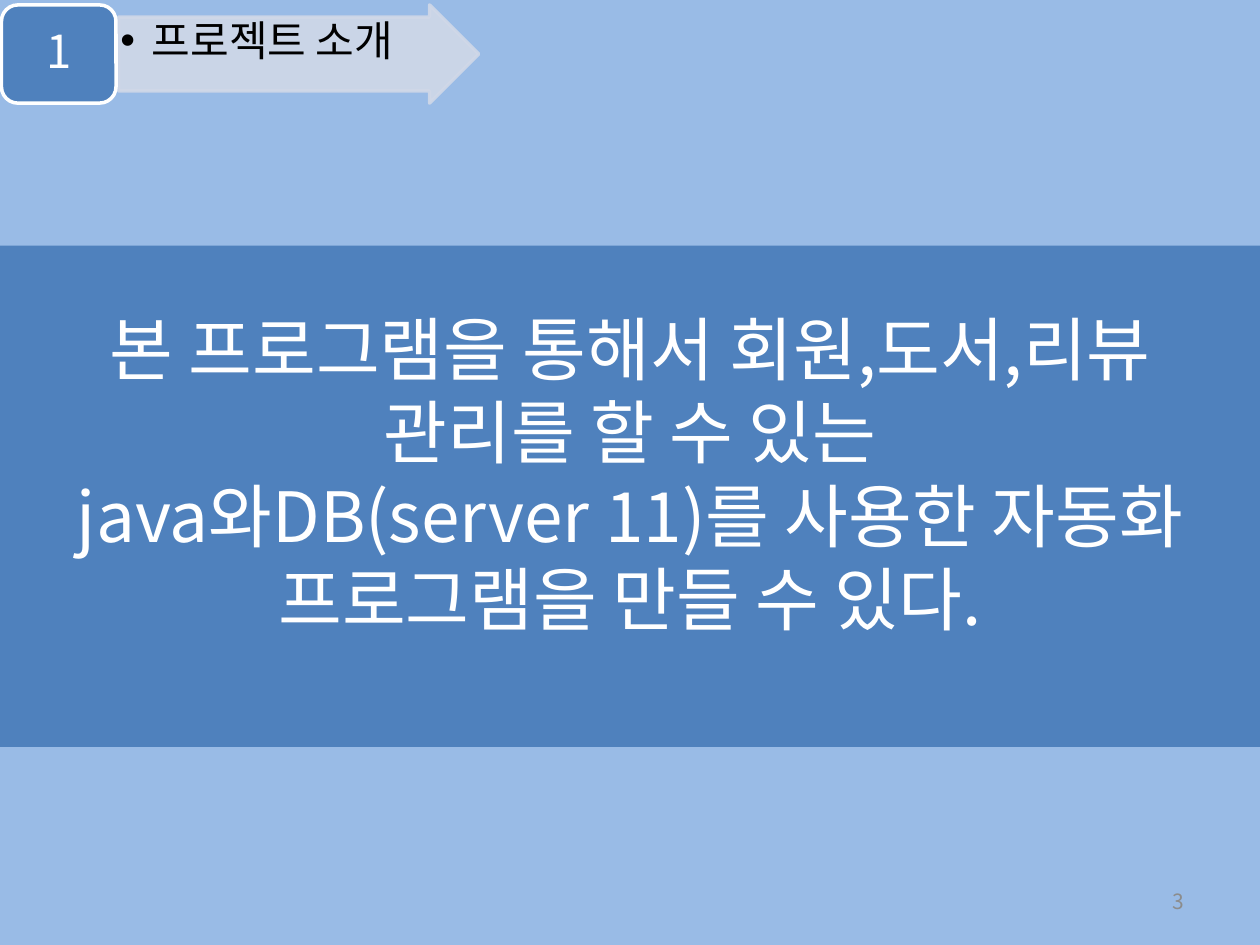
from lxml.etree import SubElement
from pptx import Presentation
from pptx.dml.color import RGBColor
from pptx.enum.shapes import MSO_SHAPE as SHAPE
from pptx.enum.text import MSO_ANCHOR as ANCHOR, MSO_AUTO_SIZE as AUTO, PP_ALIGN as ALIGN
from pptx.oxml.ns import qn
from pptx.util import Cm, Pt

FONT = "Noto Sans CJK KR"
BACKGROUND, BLUE, PALE, WHITE, BLACK, GREY = (
    "99BBE6", "4F81BD", "D0D8E8", "FFFFFF", "000000", "8C8C8C")
WIDTH, HEIGHT = 25.4, 19.05

SECTION_NUMBER = "1"
SECTION_NAME = "프로젝트 소개"
PAGE_NUMBER = "3"
SUMMARY = [
    "본 프로그램을 통해서 회원,도서,리뷰 관리를 할 수 있는",
    "java와DB(server 11)를 사용한 자동화 프로그램을 만들 수 있다.",
]

BAND = (0, 4.95, WIDTH, 10.11)
TITLE = (0, 6.15, WIDTH, 6.76)
ARROW = (2.39, 0.1, 7.26, 1.98)
ARROW_TEXT = (2.39, 0.36, 6.53, 1.5)
BADGE = (0.03, 0.1, 2.31, 1.98)
BADGE_TEXT = (0.13, 0.2, 2.11, 1.78)
PAGE = (18.21, 17.65, 5.92, 1.02)


def rgb(value):
    return RGBColor.from_string(value)


def box(place):
    return [Cm(v) for v in place]


def add_shape(shapes, kind, place, fill, line=None):
    sp = shapes.add_shape(kind, *box(place))
    sp.shadow.inherit = False
    sp.fill.solid()
    sp.fill.fore_color.rgb = rgb(fill)
    if line:
        sp.line.color.rgb = rgb(line)
        sp.line.width = Pt(2)
    else:
        sp.line.fill.background()
    return sp


def set_alpha(sp, percent):
    for color in sp._element.spPr.iter(qn("a:srgbClr")):
        SubElement(color, qn("a:alpha"), val=str(percent * 1000))


def set_frame(tf, anchor, insets=(0.25, 0.13)):
    tf.word_wrap = True
    tf.auto_size = AUTO.NONE
    tf.vertical_anchor = anchor
    tf.margin_left = tf.margin_right = Cm(insets[0])
    tf.margin_top = tf.margin_bottom = Cm(insets[1])
    return tf.paragraphs[0]


def add_run(p, text, size, color):
    r = p.add_run()
    r.text = text
    r.font.size = Pt(size)
    r.font.name = FONT
    r.font.color.rgb = rgb(color)
    SubElement(r.font._element, qn("a:ea"), typeface=FONT)


def add_text(shapes, place, text, size, color, align, anchor, insets=(0.25, 0.13)):
    p = set_frame(shapes.add_textbox(*box(place)).text_frame, anchor, insets)
    p.alignment = align
    add_run(p, text, size, color)
    return p


def add_bullet(p, indent):
    pPr = p._p.get_or_add_pPr()
    pPr.set("marL", str(Cm(indent)))
    pPr.set("indent", str(-Cm(indent)))
    SubElement(pPr, qn("a:buFont"), typeface="Arial")
    SubElement(pPr, qn("a:buChar"), char="•")


def main():
    prs = Presentation()
    prs.slide_width, prs.slide_height = Cm(WIDTH), Cm(HEIGHT)
    s = prs.slides.add_slide(prs.slide_layouts[5])
    s.background.fill.solid()
    s.background.fill.fore_color.rgb = rgb(BACKGROUND)

    add_text(s.shapes, PAGE, PAGE_NUMBER, 12, GREY, ALIGN.RIGHT, ANCHOR.MIDDLE)
    add_shape(s.shapes, SHAPE.RECTANGLE, BAND, BLUE)

    title = s.shapes.title
    title.left, title.top, title.width, title.height = box(TITLE)
    s.shapes._spTree.append(title._element)
    p = set_frame(title.text_frame, ANCHOR.MIDDLE)
    p.alignment = ALIGN.CENTER
    for i, line in enumerate(SUMMARY):
        if i:
            p.add_line_break()
        add_run(p, line, 39.6, WHITE)

    header = s.shapes.add_group_shape().shapes
    arrow = add_shape(header, SHAPE.RIGHT_ARROW, ARROW, PALE, PALE)
    arrow.adjustments[0], arrow.adjustments[1] = 0.75, 0.5
    set_alpha(arrow, 90)
    p = add_text(header, ARROW_TEXT, SECTION_NAME, 24, BLACK,
                 ALIGN.LEFT, ANCHOR.TOP, (0.04, 0.04))
    p.line_spacing = 0.9
    add_bullet(p, 0.63)

    add_shape(header, SHAPE.ROUNDED_RECTANGLE, BADGE, BLUE, WHITE)
    p = add_text(header, BADGE_TEXT, SECTION_NUMBER, 26, WHITE,
                 ALIGN.CENTER, ANCHOR.MIDDLE, (0.27, 0.13))
    p.line_spacing = 0.9

    prs.save("out.pptx")


if __name__ == "__main__":
    main()
